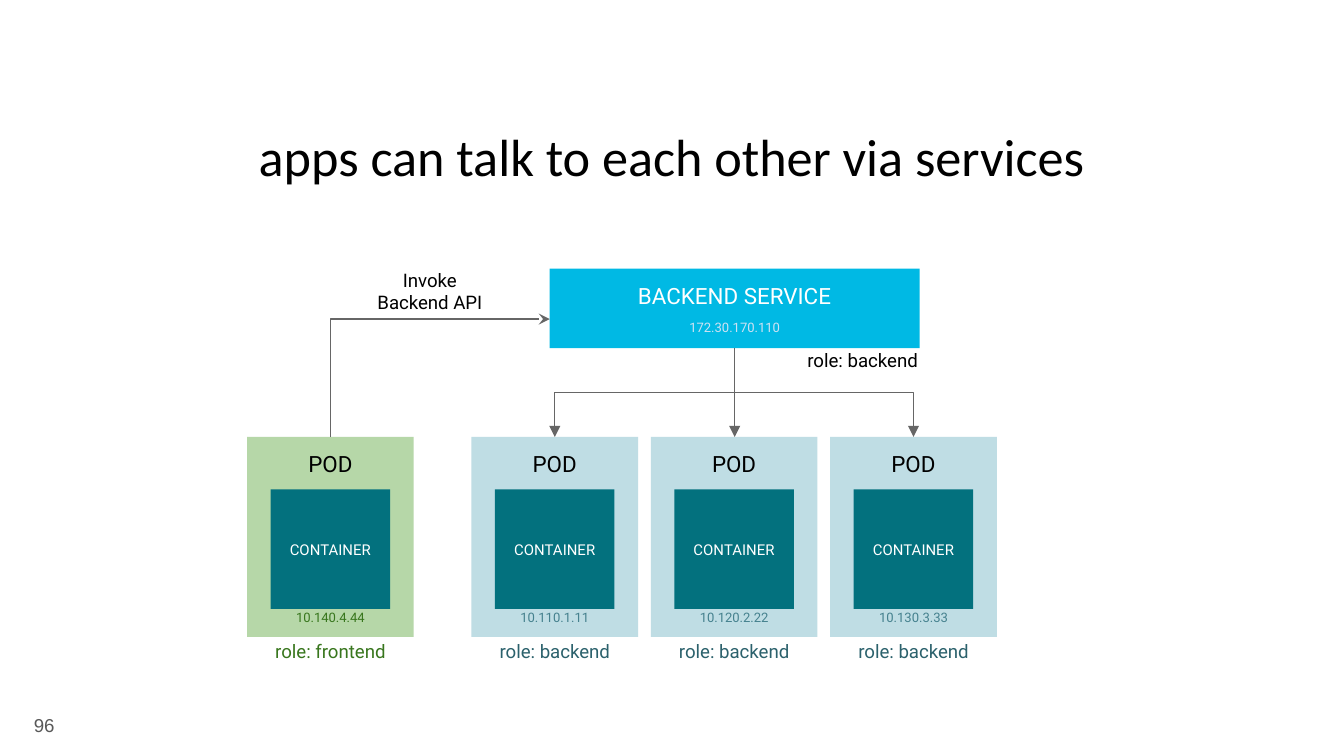
from lxml import etree
from pptx import Presentation
from pptx.dml.color import RGBColor
from pptx.enum.shapes import MSO_CONNECTOR, MSO_SHAPE
from pptx.enum.text import MSO_ANCHOR, PP_ALIGN
from pptx.oxml.ns import qn
from pptx.util import Cm, Pt

LEFT, CENTER, RIGHT = PP_ALIGN.LEFT, PP_ALIGN.CENTER, PP_ALIGN.RIGHT
TOP, MIDDLE = MSO_ANCHOR.TOP, MSO_ANCHOR.MIDDLE
STRAIGHT, ELBOW = MSO_CONNECTOR.STRAIGHT, MSO_CONNECTOR.ELBOW
RECTANGLE = MSO_SHAPE.RECTANGLE

COLORS = {
    "black": "000000", "white": "FFFFFF", "page": "595959", "line": "666666",
    "service": "00B9E4", "service_ip": "CFE2F3", "container": "03717E",
    "backend": "BFDDE4", "backend_role": "2B616C", "backend_ip": "45818E",
    "frontend": "B6D7A8", "frontend_role": "38761D", "frontend_ip": "38761D",
}

# Content
TITLE = "apps can talk to each other via services"
PAGE_NUMBER = "96"
SERVICE = {"name": "BACKEND SERVICE", "ip": "172.30.170.110", "role": "role: backend"}
CALL_LABEL = "Invoke\vBackend API"
FRONTEND_IP = "10.140.4.44"
BACKEND_IPS = ["10.110.1.11", "10.120.2.22", "10.130.3.33"]

# Layout in centimetres
POD_TOP, POD_WIDTH, POD_HEIGHT = 8.26, 3.15, 3.78
FRONTEND_LEFT, BACKEND_LEFT, POD_STEP = 4.67, 8.91, 3.39
CONTAINER_TOP, CONTAINER_SIZE = 9.25, 2.26
SERVICE_LEFT, SERVICE_TOP, SERVICE_WIDTH, SERVICE_HEIGHT = 10.39, 5.08, 6.99, 1.5
CALL_Y = 6.03

presentation = Presentation()
presentation.slide_width, presentation.slide_height = Cm(25.4), Cm(14.29)
slide = presentation.slides.add_slide(presentation.slide_layouts[6])


def write(shape, text, size, color, align=CENTER, anchor=TOP, font="Roboto", side=0.25):
    frame = shape.text_frame
    frame.word_wrap = True
    frame.vertical_anchor = anchor
    frame.margin_left = frame.margin_right = Cm(side)
    frame.margin_top = frame.margin_bottom = Cm(0.25)
    paragraph = frame.paragraphs[0]
    paragraph.text = text
    paragraph.alignment = align
    for run in paragraph.runs:
        run.font.size, run.font.name = Pt(size), font
        run.font.color.rgb = RGBColor.from_string(COLORS[color])


def add_text(left, top, width, height, *args, **options):
    box = slide.shapes.add_textbox(Cm(left), Cm(top), Cm(width), Cm(height))
    write(box, *args, **options)


def add_box(left, top, width, height, fill, *args, **options):
    shape = slide.shapes.add_shape(RECTANGLE, Cm(left), Cm(top), Cm(width), Cm(height))
    shape.shadow.inherit = False
    shape.fill.solid()
    shape.fill.fore_color.rgb = RGBColor.from_string(COLORS[fill])
    shape.line.fill.background()
    write(shape, *args, **options)


def add_arrow(kind, start, end, head):
    connector = slide.shapes.add_connector(kind, *[Cm(value) for value in start + end])
    connector.line.width = Pt(0.75)
    connector.line.color.rgb = RGBColor.from_string(COLORS["line"])
    properties = connector._element.spPr
    line = properties.find(qn("a:ln"))
    etree.SubElement(line, qn("a:tailEnd"), type=head, w="med", len="med")
    etree.SubElement(properties, qn("a:effectLst"))
    return properties


def add_elbow(start, end, head, degrees, mirrored=False, preset="bentConnector3"):
    """Elbow that leaves vertically: its frame is turned a quarter about the middle."""
    middle_x, middle_y = (start[0] + end[0]) / 2, (start[1] + end[1]) / 2
    half_width, half_height = abs(end[1] - start[1]) / 2, abs(end[0] - start[0]) / 2
    if mirrored:
        half_width = -half_width
    properties = add_arrow(ELBOW, (middle_x - half_width, middle_y - half_height),
                           (middle_x + half_width, middle_y + half_height), head)
    properties.find(qn("a:xfrm")).set("rot", str(degrees * 60000))
    properties.find(qn("a:prstGeom")).set("prst", preset)


def add_pod(left, group, ip):
    center = left + POD_WIDTH / 2
    add_box(left, POD_TOP, POD_WIDTH, POD_HEIGHT, group, "POD", 12, "black")
    add_box(center - CONTAINER_SIZE / 2, CONTAINER_TOP, CONTAINER_SIZE, CONTAINER_SIZE,
            "container", "CONTAINER", 8, "white", anchor=MIDDLE)
    add_text(center - 0.91, 11.38, 1.82, 0.66, ip, 7, group + "_ip", side=0)
    add_text(center - 1.45, 11.89, 2.9, 0.94, "role: " + group, 10, group + "_role")
    return center


# Title and page number
add_text(0.28, 13.16, 1, 1.09, PAGE_NUMBER, 10, "page",
         align=RIGHT, anchor=MIDDLE, font="Arial")
add_text(2.29, 1.47, 20.8, 2.95, TITLE, 28, "black", anchor=MIDDLE, font="Calibri")

# Service
add_box(SERVICE_LEFT, SERVICE_TOP, SERVICE_WIDTH, SERVICE_HEIGHT,
        "service", SERVICE["name"], 12, "white")
service_center = SERVICE_LEFT + SERVICE_WIDTH / 2
service_bottom = SERVICE_TOP + SERVICE_HEIGHT
add_text(service_center - 1.13, 5.89, 2.26, 0.66, SERVICE["ip"], 7, "service_ip", side=0)
add_text(15.01, 6.38, 2.9, 0.94, SERVICE["role"], 10, "black", align=LEFT)

# Pods
frontend_center = add_pod(FRONTEND_LEFT, "frontend", FRONTEND_IP)
backend_centers = [add_pod(BACKEND_LEFT + index * POD_STEP, "backend", ip)
                   for index, ip in enumerate(BACKEND_IPS)]

# Call from the frontend to the service
add_text(6.55, 4.83, 3.15, 0.94, CALL_LABEL, 10, "black")
add_elbow((frontend_center, POD_TOP), (SERVICE_LEFT, CALL_Y), "stealth", 270,
          preset="bentConnector2")

# Service to each backend pod
left_pod, middle_pod, right_pod = backend_centers
fork = (service_center, service_bottom)
add_arrow(STRAIGHT, fork, (service_center, POD_TOP), "triangle")
add_elbow(fork, (right_pod, POD_TOP), "triangle", 270, mirrored=True)
add_elbow(fork, (left_pod, POD_TOP), "triangle", 90)

presentation.save("out.pptx")
